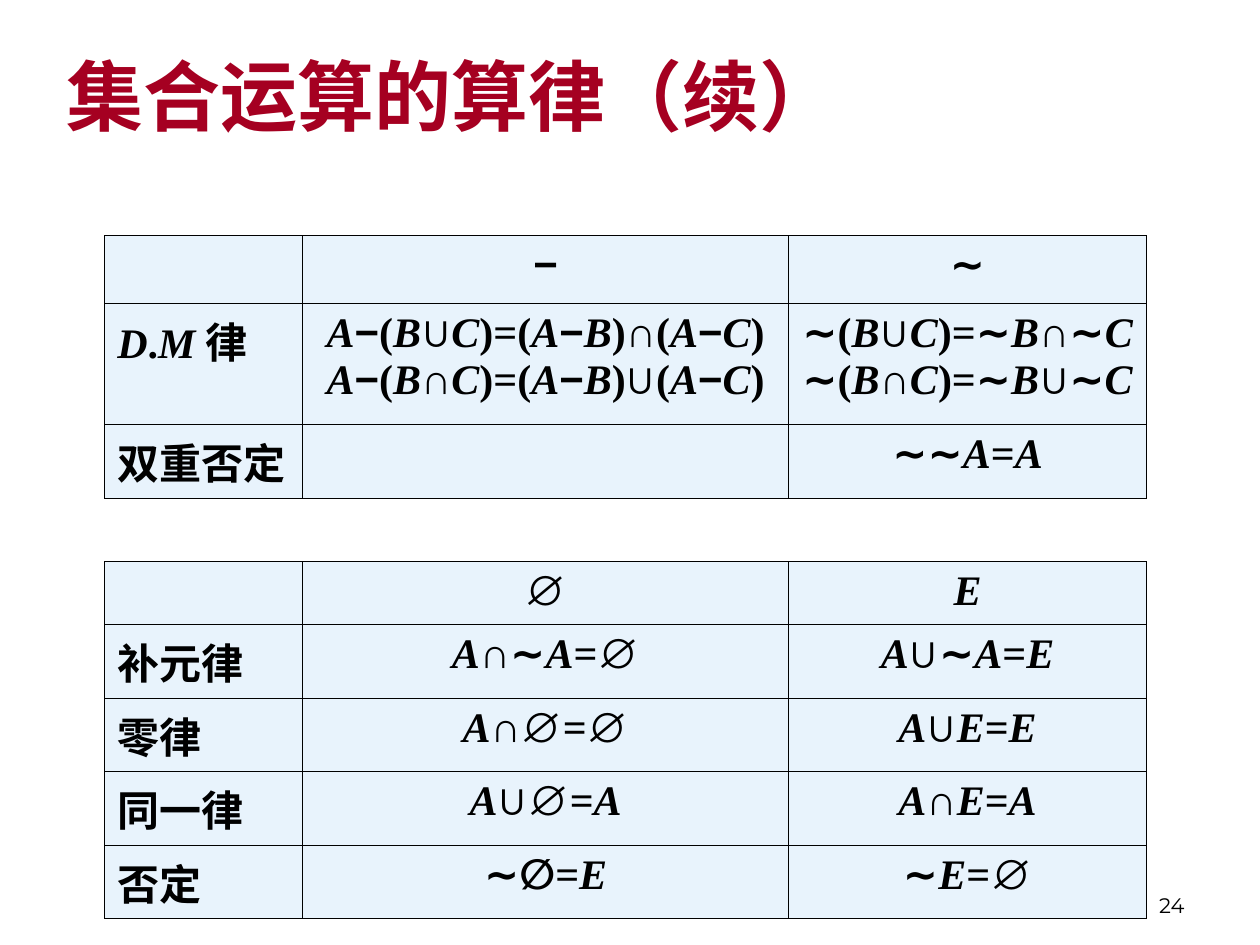
from itertools import groupby

from lxml import etree
from pptx import Presentation
from pptx.dml.color import RGBColor
from pptx.enum import text
from pptx.oxml.ns import qn
from pptx.util import Cm, Pt

COLORS = {"title": "A50021", "ink": "000000", "cell": "E8F3FC"}
SYMBOLS = "−∼∪∩∅"
LEFT, TOP, CENTER, RIGHT = (text.PP_ALIGN.LEFT, text.MSO_ANCHOR.TOP,
                            text.PP_ALIGN.CENTER, text.PP_ALIGN.RIGHT)


def run_format(char):
    """Set letters are italic serif, operators are sans, the rest is serif."""
    if char in SYMBOLS:
        return "Arial", False
    return "Times New Roman", char.isascii() and char.isalpha()


class Deck:
    formats = {
        "title": {"name": "Arial", "size": Pt(44), "bold": True},
        "cell": {"size": Pt(24), "bold": True},
        "number": {"name": "Montserrat", "size": Pt(12)},
    }

    def __init__(self, width, height):
        self.prs = Presentation()
        self.prs.slide_width, self.prs.slide_height = Cm(width), Cm(height)
        self.s = self.prs.slides.add_slide(self.prs.slide_layouts[5])

    def style(self, font, kind, color="ink", **extra):
        for key, value in {**self.formats[kind], **extra}.items():
            setattr(font, key, value)
        font.color.rgb = RGBColor.from_string(COLORS[color])

    def fill_frame(self, tf, words, kind, color, align, anchor):
        tf.word_wrap = True
        tf.auto_size = text.MSO_AUTO_SIZE.NONE
        tf.vertical_anchor = anchor
        p = tf.paragraphs[0]
        p.alignment = align
        r = p.add_run()
        r.text = words
        self.style(r.font, kind, color)

    def title(self, words, box):
        sp = self.s.shapes.title
        sp.left, sp.top, sp.width, sp.height = map(Cm, box)
        self.fill_frame(sp.text_frame, words, "title", "title", LEFT,
                        text.MSO_ANCHOR.MIDDLE)

    def number(self, words, box):
        sp = self.s.shapes.add_textbox(*map(Cm, box))
        self.fill_frame(sp.text_frame, words, "number", "ink", RIGHT,
                        text.MSO_ANCHOR.BOTTOM)

    def borders(self, cell):
        tc_pr = cell._tc.get_or_add_tcPr()
        for i, side in enumerate(("lnL", "lnR", "lnT", "lnB")):
            ln = etree.Element(qn(f"a:{side}"), w=str(Pt(0.45)))
            solid = etree.SubElement(ln, qn("a:solidFill"))
            etree.SubElement(solid, qn("a:srgbClr"), val=COLORS["ink"])
            tc_pr.insert(i, ln)

    def formula(self, p, words, align):
        p.alignment = align
        p_pr = p._p.get_or_add_pPr()
        p_pr.set("marL", str(Cm(0.97)))
        p_pr.set("indent", str(-Cm(0.97)))
        for (name, italic), chars in groupby(words, run_format):
            r = p.add_run()
            r.text = "".join(chars)
            self.style(r.font, "cell", name=name, italic=italic)

    def table(self, rows, left, top, widths, heights):
        frame = self.s.shapes.add_table(
            len(rows), len(widths), Cm(left), Cm(top),
            Cm(sum(widths)), Cm(sum(heights)))
        tbl = frame.table
        tbl.first_row = tbl.horz_banding = False
        for column, width in zip(tbl.columns, widths):
            column.width = Cm(width)
        for i, (row, height) in enumerate(zip(rows, heights)):
            tbl.rows[i].height = Cm(height)
            for j, words in enumerate(row):
                cell = tbl.cell(i, j)
                cell.vertical_anchor = TOP
                cell.fill.solid()
                cell.fill.fore_color.rgb = RGBColor.from_string(COLORS["cell"])
                self.borders(cell)
                tf = cell.text_frame
                for k, line in enumerate(words.split("\n")):
                    p = tf.add_paragraph() if k else tf.paragraphs[0]
                    self.formula(p, line, CENTER if j else LEFT)


def main():
    deck = Deck(25.4, 19.05)
    columns = [3.99, 9.8, 7.21]

    # Slide number and title
    deck.number("24", (18.21, 17.35, 5.92, 1.27))
    deck.title("集合运算的算律（续）", (1.09, 0, 22.86, 3.81))

    # Laws of difference and complement
    deck.table([
        ["", "−", "∼"],
        ["D.M 律", "A−(B∪C)=(A−B)∩(A−C)\nA−(B∩C)=(A−B)∪(A−C)",
         "∼(B∪C)=∼B∩∼C\n∼(B∩C)=∼B∪∼C"],
        ["双重否定", "", "∼∼A=A"],
    ], 2.11, 4.75, columns, [1.37, 2.44, 1.37])

    # Laws of the empty set and the universal set
    deck.table([
        ["", "∅", "E"],
        ["补元律", "A∩∼A=∅", "A∪∼A=E"],
        ["零律", "A∩∅=∅", "A∪E=E"],
        ["同一律", "A∪∅=A", "A∩E=A"],
        ["否定", "∼∅=E", "∼E=∅"],
    ], 2.11, 11.32, columns, [1.27] * 5)

    deck.prs.save("out.pptx")


if __name__ == "__main__":
    main()
